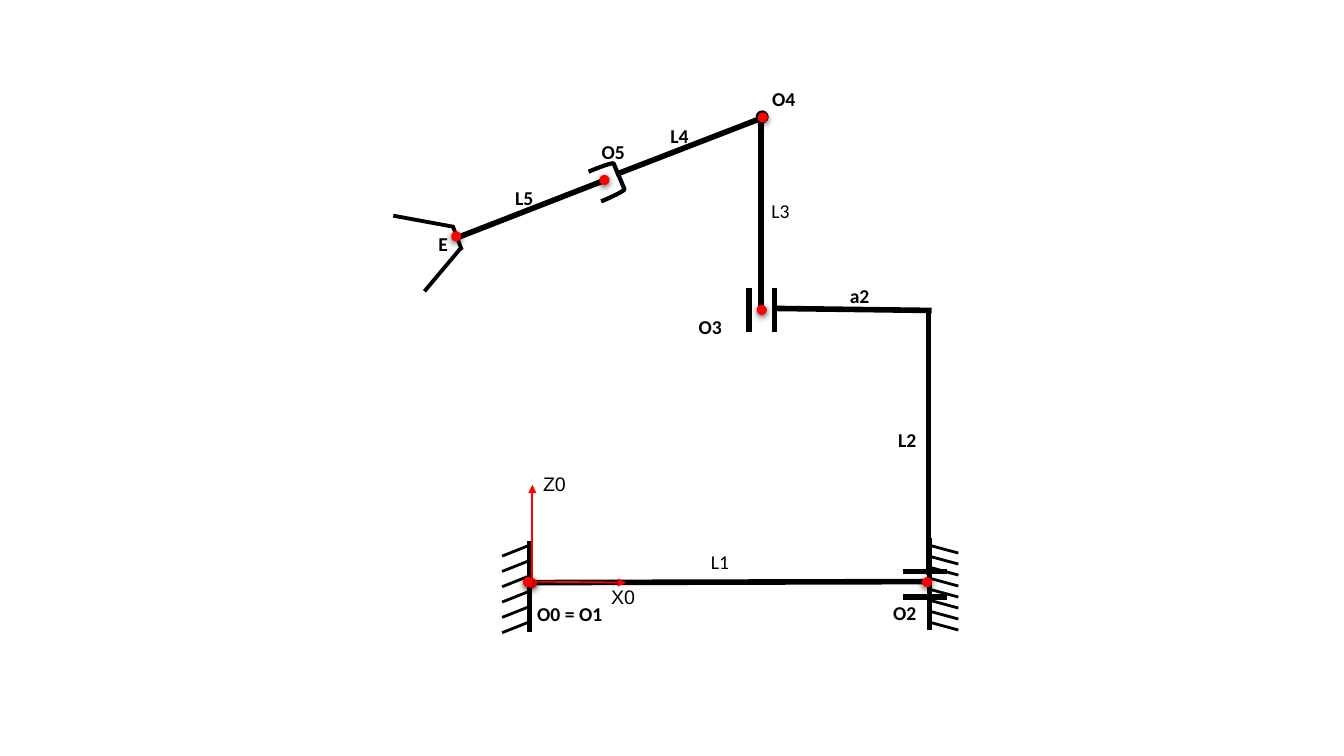
from dataclasses import dataclass

from lxml import etree
from pptx import Presentation
from pptx.dml.color import RGBColor
from pptx.enum.shapes import MSO_CONNECTOR, MSO_SHAPE
from pptx.enum.text import MSO_AUTO_SIZE, PP_ALIGN
from pptx.oxml import parse_xml
from pptx.oxml.ns import nsdecls, qn
from pptx.util import Inches, Pt

STRAIGHT = MSO_CONNECTOR.STRAIGHT
OVAL = MSO_SHAPE.OVAL
BRACKET = MSO_SHAPE.LEFT_BRACKET
GROW = MSO_AUTO_SIZE.SHAPE_TO_FIT_TEXT
CENTER = PP_ALIGN.CENTER


@dataclass(frozen=True)
class Theme:
    ink: RGBColor = RGBColor(0, 0, 0)
    red: RGBColor = RGBColor(255, 0, 0)
    body: str = "Calibri"
    axis: str = "Arial"
    size: float = 14
    bold_line: float = 4
    grip_line: float = 2.75
    fork_line: float = 3
    thin_line: float = 2
    axis_line: float = 1.25
    dot_line: float = 0.75
    cell: float = 0.1
    dot: float = 0.9
    row: float = 3.4


class Sketch:
    """Draw a linkage on a slide whose grid cells are a tenth of an inch."""

    def __init__(self, slide, theme):
        self.shapes = slide.shapes
        self.theme = theme

    def grid(self, *cells):
        return [Inches(n * self.theme.cell) for n in cells]

    def line(self, start, end, width=None, color=None, arrow=False):
        link = self.shapes.add_connector(STRAIGHT, *self.grid(*start, *end))
        link.line.color.rgb = color or self.theme.ink
        link.line.width = Pt(width or self.theme.bold_line)
        if arrow:
            etree.SubElement(link.line._ln, qn("a:tailEnd"), type="triangle")
        etree.SubElement(link._element.spPr, qn("a:effectLst"))

    def shape(self, kind, box, width, color, fill=None, turn=0):
        item = self.shapes.add_shape(kind, *self.grid(*box))
        item.rotation = turn
        if fill is None:
            item.fill.background()
        else:
            item.fill.solid()
            item.fill.fore_color.rgb = fill
        item.line.color.rgb = color
        item.line.width = Pt(width)
        item.shadow.inherit = False
        return item

    def joint(self, left, top):
        look = self.theme
        dot = self.shape(OVAL, (left, top, look.dot, look.dot), look.dot_line, look.red, look.red)
        glow = dot._element.spPr.find(qn("a:effectLst"))
        glow.append(parse_xml(
            f'<a:outerShdw {nsdecls("a")} blurRad="{Pt(4.5)}" dist="{Pt(1.5)}" dir="5400000" '
            'algn="ctr" rotWithShape="0"><a:srgbClr val="000000"><a:alpha val="63000"/>'
            '</a:srgbClr></a:outerShdw>'))

    def label(self, text, left, top, wide, bold=True, font=None):
        box = self.shapes.add_textbox(*self.grid(left, top, wide, self.theme.row))
        frame = box.text_frame
        frame.word_wrap = True
        frame.auto_size = GROW
        para = frame.paragraphs[0]
        if bold:
            frame.margin_right = 0
            para.line_spacing = 1.07
            para.space_after = Pt(8)
        else:
            para.alignment = CENTER
        run = para.add_run()
        run.text = text
        run.font.name = font or self.theme.body
        run.font.size = Pt(self.theme.size)
        run.font.bold = bold
        run.font.color.rgb = self.theme.ink

    def hatch(self, start, step, count, reach, drop):
        left, top = start
        for i in range(count):
            y = top + i * step
            self.line((left, y), (left + reach, y + drop), self.theme.thin_line)


def main():
    deck = Presentation()
    deck.slide_width, deck.slide_height = Inches(13.33), Inches(7.5)
    look = Theme()
    art = Sketch(deck.slides.add_slide(deck.slide_layouts[6]), look)

    art.shape(OVAL, (75.1, 11.1, 1, 1), look.thin_line, look.ink, look.ink)
    for start, end in (
        ((92.4, 30.8), (77, 30.6)),
        ((92.2, 62.5), (92.2, 53.4)),
        ((52.5, 53.7), (52.5, 62.7)),
        ((92, 57.7), (52.5, 57.8)),
        ((92.1, 30.7), (92.1, 57)),
        ((75.5, 11.5), (75.5, 31.1)),
        ((76.1, 11.5), (61.1, 17.3)),
        ((60.2, 17.8), (45.3, 23.6)),
    ):
        art.line(start, end)
    for y in (56.7, 59.2):
        art.line((93.9, y), (89.6, y))
    for x in (74.3, 76.8):
        art.line((x, 28.6), (x, 32.9))
    for start, end in (
        ((45.8, 24.8), (44.9, 22.4)),
        ((45, 22.5), (39, 21.4)),
        ((45.8, 24.5), (42.1, 28.9)),
    ):
        art.line(start, end, look.grip_line)
    art.hatch((92.2, 54.1), 1.09, 8, 2.85, 0.77)
    art.hatch((52.5, 54.1), 1.52, 6, -2.7, 1.07)
    art.shape(BRACKET, (58.9, 16.4, 2.6, 3.2), look.fork_line, look.ink, turn=157.1)

    for start, end in (((52.8, 57.9), (52.8, 48.1)), ((52.3, 57.7), (62.1, 57.8))):
        art.line(start, end, look.axis_line, look.red, arrow=True)
    for left, top in (
        (52.3, 57.4), (51.9, 57.3), (91.5, 57.3), (75.1, 30.3),
        (75.2, 11.2), (59.5, 17.4), (44.8, 23),
    ):
        art.joint(left, top)

    for text, left, top, wide in (
        ("O0 = O1", 52.3, 59.1, 8.5),
        ("O2", 87.6, 59, 4.9),
        ("O3", 68.3, 30.6, 4.5),
        ("O4", 75.6, 8, 5.3),
        ("O5", 58.7, 13.2, 4.3),
        ("L2", 88.1, 41.8, 6.5),
        ("a2", 83.3, 27.5, 6.5),
        ("L4", 65.5, 11.6, 6.5),
        ("L5", 50.1, 17.8, 6.5),
        ("E", 42.5, 22.4, 6.5),
    ):
        art.label(text, left, top, wide)
    for text, left, top in (("L1", 69.2, 54.1), ("L3", 75.2, 19.2)):
        art.label(text, left, top, 4.4, bold=False)
    for text, left, top in (("Z0", 52.5, 46.3), ("X0", 59.3, 57.5)):
        art.label(text, left, top, 5, bold=False, font=look.axis)

    deck.save("out.pptx")


if __name__ == "__main__":
    main()
